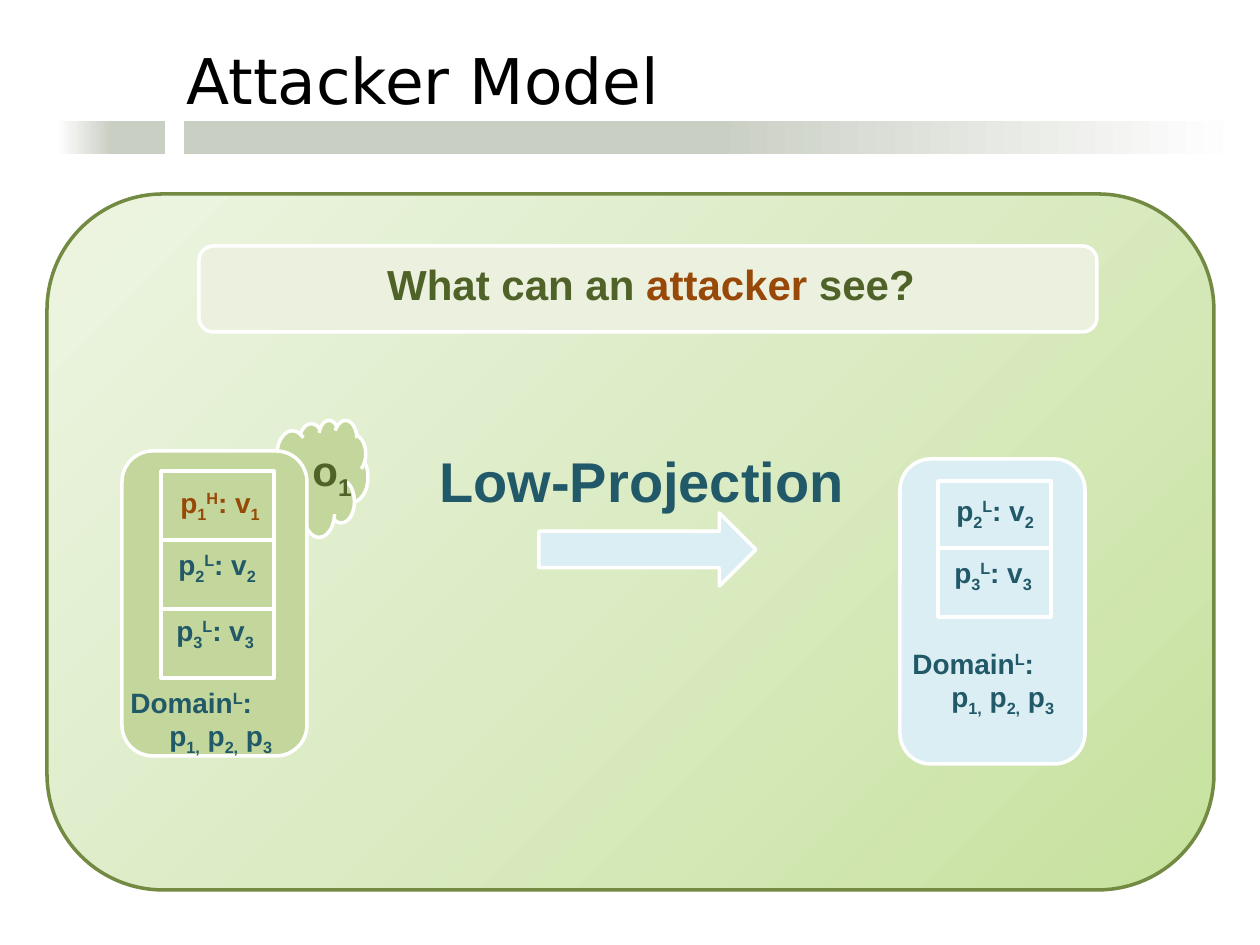
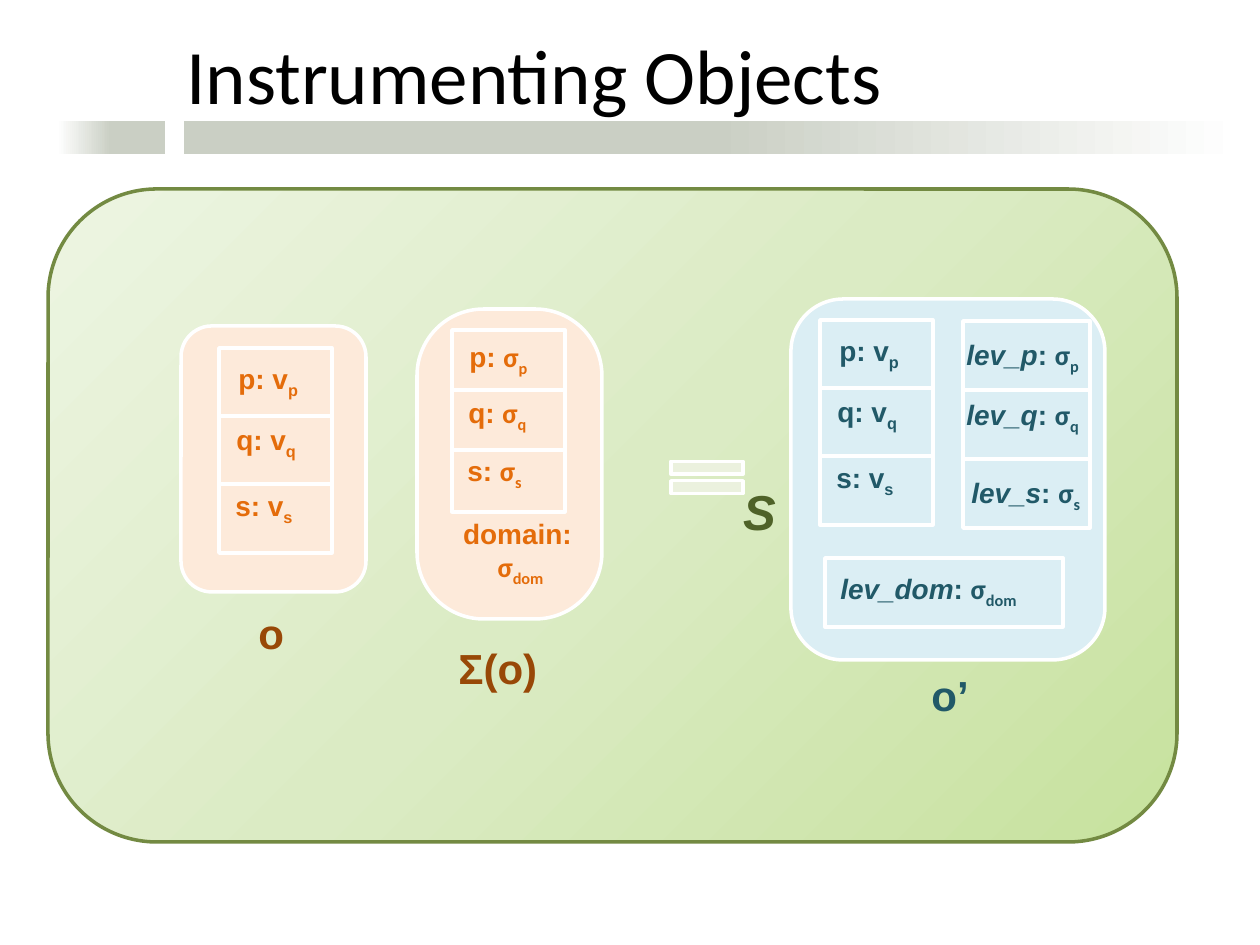
"""Build two slides on the attacker model and on instrumenting objects."""
from lxml import etree
from pptx import Presentation
from pptx.dml.color import RGBColor
from pptx.enum.shapes import MSO_SHAPE as Shape
from pptx.enum.text import MSO_ANCHOR as Anchor, PP_ALIGN as Align
from pptx.oxml.ns import qn
from pptx.util import Emu, Pt

PX = 914400 // 126
WHITE = RGBColor(0xFF, 0xFF, 0xFF)
BLACK = RGBColor(0x00, 0x00, 0x00)
BAND_GREY = RGBColor(0xCA, 0xCF, 0xC4)
PANEL_EDGE = RGBColor(0x73, 0x8A, 0x42)
PANEL_DARK = RGBColor(0xC7, 0xE2, 0x9E)
PANEL_MID = RGBColor(0xDB, 0xEB, 0xC4)
PANEL_LIGHT = RGBColor(0xED, 0xF5, 0xE2)
PALE_GREEN = RGBColor(0xEB, 0xF1, 0xDE)
GREEN = RGBColor(0xC3, 0xD6, 0x9B)
DARK_GREEN = RGBColor(0x4F, 0x62, 0x28)
PALE_BLUE = RGBColor(0xDB, 0xEE, 0xF4)
TEAL = RGBColor(0x21, 0x59, 0x68)
PEACH = RGBColor(0xFD, 0xEA, 0xDA)
ORANGE = RGBColor(0xE4, 0x6C, 0x0A)
BROWN = RGBColor(0x98, 0x48, 0x07)

BANDS = [((184, 121, 1057, 33), 0), ((57, 121, 108, 33), 180)]
BAND_STOPS = [(50, BAND_GREY), (100, WHITE)]
PANEL_STOPS = [(0, PANEL_DARK), (50, PANEL_MID), (100, PANEL_LIGHT)]

# Markup: ~subscript~ ^superscript^ *italic* |accent| $Calibri$
DOMAIN = ["Domain^L^:", "p~1,~ p~2,~ p~3~"]
VALUES = ["p: v~p~", "q: v~q~", "s: v~s~"]
LEVELS = ["p: $σ~p~$", "q: $σ~q~$", "s: $σ~s~$"]
LEV_FIELDS = ["*lev_p*: $σ~p~$", "*lev_q*: $σ~q~$", "*lev_s*: $σ~s~$"]
VALUE_SHIFTS = [(7, 9), (5, 2), (4, 0)]

SLIDES = [
    {
        "title": ("Attacker Model", (174, 35, 977, 89), 36, "DejaVu Sans"),
        "panel": (47, 194, 1167, 696),
        "shapes": [
            (Shape.ROUNDED_RECTANGLE, (199, 246, 898, 86), PALE_GREEN, None),
            (Shape.CLOUD, (268, 420, 100, 117), GREEN, None),
            (Shape.ROUNDED_RECTANGLE, (122, 451, 185, 305), GREEN, None),
            (Shape.RIGHT_ARROW, (539, 513, 217, 73), PALE_BLUE, None),
            (Shape.ROUNDED_RECTANGLE, (900, 459, 185, 305), PALE_BLUE, None),
        ],
        "stacks": [
            ((161, 471, 113, 69), 69, GREEN, TEAL,
             ["|p~1~^H^: v~1~|", "p~2~^L^: v~2~", "p~3~^L^: v~3~"],
             [(7, 10), (5, 3), (3, 0)]),
            ((938, 481, 113, 69), 67, PALE_BLUE, TEAL,
             ["p~2~^L^: v~2~", "p~3~^L^: v~3~"], [(6, 8), (4, 3)]),
        ],
        "labels": [
            ((214, 252, 874, 63), ["What can an |attacker| see?"], 24, DARK_GREEN, Align.CENTER, 0),
            ((300, 438, 92, 63), ["o~1~"], 24, DARK_GREEN, Align.LEFT, 0),
            ((427, 440, 440, 81), ["Low-Projection"], 32, TEAL, Align.LEFT, 0),
            ((118, 679, 181, 81), DOMAIN, 16, TEAL, Align.LEFT, 39),
            ((900, 640, 181, 81), DOMAIN, 16, TEAL, Align.LEFT, 39),
        ],
    },
    {
        "title": ("Instrumenting Objects", (174, 21, 1086, 174), 44, "Calibri"),
        "panel": (48, 189, 1129, 653),
        "shapes": [
            (Shape.ROUNDED_RECTANGLE, (181, 326, 185, 266), PEACH, None),
            (Shape.ROUNDED_RECTANGLE, (417, 309, 185, 310), PEACH, 0.36),
            (Shape.MATH_EQUAL, (658, 450, 98, 55), PALE_GREEN, None),
            (Shape.ROUNDED_RECTANGLE, (791, 299, 314, 361), PALE_BLUE, None),
        ],
        "stacks": [
            ((219, 348, 113, 69), 68, PEACH, ORANGE, VALUES, VALUE_SHIFTS),
            ((452, 330, 113, 62), 60, PEACH, ORANGE, LEVELS, [(5, 5), (4, 1), (3, -1)]),
            ((820, 320, 113, 69), 68, PALE_BLUE, TEAL, VALUES, VALUE_SHIFTS),
            ((963, 321, 127, 69), 69, PALE_BLUE, TEAL, LEV_FIELDS, [(-9, 12), (-9, 3), (-4, 12)]),
            ((825, 558, 238, 69), 69, PALE_BLUE, TEAL, ["*lev_dom*: $σ~dom~$"], [(3, 9)]),
        ],
        "labels": [
            ((246, 601, 55, 63), ["o"], 24, BROWN, Align.LEFT, 0),
            ((446, 636, 126, 63), ["Σ(o)"], 24, BROWN, Align.LEFT, 0),
            ((449, 510, 137, 81), ["domain:", "$σ~dom~$"], 16, ORANGE, Align.CENTER, 6),
            ((709, 475, 101, 72), ["*S*"], 28, DARK_GREEN, Align.CENTER, 0),
            ((919, 663, 82, 63), ["o’"], 24, TEAL, Align.LEFT, 0),
        ],
    },
]


def to_emu(box):
    return [Emu(length * PX) for length in box]


def add_box(slide, kind, box, fill=None, line=WHITE):
    shape = slide.shapes.add_shape(kind, *to_emu(box))
    shape.shadow.inherit = False
    if fill is not None:
        shape.fill.solid()
        shape.fill.fore_color.rgb = fill
    if line is None:
        shape.line.fill.background()
    else:
        shape.line.color.rgb = line
        shape.line.width = Pt(2)
    return shape


def set_gradient(shape, stops, radial=False):
    gradient = etree.Element(qn("a:gradFill"), rotWithShape="1")
    stop_list = etree.SubElement(gradient, qn("a:gsLst"))
    for position, color in stops:
        stop = etree.SubElement(stop_list, qn("a:gs"), pos=str(position * 1000))
        etree.SubElement(stop, qn("a:srgbClr"), val=str(color))
    if radial:
        route = etree.SubElement(gradient, qn("a:path"), {"path": "circle"})
        etree.SubElement(route, qn("a:fillToRect"), l="100000", t="100000")
    else:
        etree.SubElement(gradient, qn("a:lin"), ang="0", scaled="1")
    shape.element.spPr.find(qn("a:prstGeom")).addnext(gradient)


def split_markup(text):
    active, piece = set(), ""
    for character in text:
        if character in "~^*|$":
            if piece:
                yield piece, frozenset(active)
            active ^= {character}
            piece = ""
        else:
            piece += character
    if piece:
        yield piece, frozenset(active)


def add_text(slide, box, lines, size, color, align=Align.LEFT, indent=0,
             font_name="Arial", bold=True, anchor=Anchor.TOP):
    text_frame = slide.shapes.add_textbox(*to_emu(box)).text_frame
    text_frame.word_wrap = True
    text_frame.vertical_anchor = anchor
    for index, line in enumerate(lines):
        paragraph = text_frame.add_paragraph() if index else text_frame.paragraphs[0]
        paragraph.alignment = align
        if index and indent:
            paragraph._p.get_or_add_pPr().set("marL", str(indent * PX))
        for piece, marks in split_markup(line):
            run = paragraph.add_run()
            run.text = piece
            font = run.font
            font.size = Pt(size)
            font.bold = bold
            font.italic = "*" in marks
            font.name = "Calibri" if "$" in marks else font_name
            font.color.rgb = BROWN if "|" in marks else color
            if "~" in marks:
                font._element.set("baseline", "-25000")
            elif "^" in marks:
                font._element.set("baseline", "30000")


def add_stack(slide, first_cell, pitch, fill, color, fields, shifts):
    left, top, width, height = first_cell
    tops = [top + pitch * row for row in range(len(fields))]
    for cell_top in tops:
        add_box(slide, Shape.RECTANGLE, (left, cell_top, width, height), fill)
    for cell_top, field, (right, down) in zip(tops, fields, shifts):
        label_box = (left + right, cell_top + down, width + 24, 47)
        add_text(slide, label_box, [field], 16, color, anchor=Anchor.MIDDLE)


def add_frame(slide, title, panel_box):
    for box, rotation in BANDS:
        band = add_box(slide, Shape.RECTANGLE, box, line=None)
        band.rotation = rotation
        set_gradient(band, BAND_STOPS)
    text, box, size, font_name = title
    add_text(slide, box, [text], size, BLACK, font_name=font_name, bold=False)
    panel = add_box(slide, Shape.ROUNDED_RECTANGLE, panel_box, line=PANEL_EDGE)
    set_gradient(panel, PANEL_STOPS, radial=True)


def main():
    presentation = Presentation()
    presentation.slide_width, presentation.slide_height = to_emu((1260, 945))
    for content in SLIDES:
        slide = presentation.slides.add_slide(presentation.slide_layouts[6])
        add_frame(slide, content["title"], content["panel"])
        for kind, box, fill, rounding in content["shapes"]:
            shape = add_box(slide, kind, box, fill)
            if rounding is not None:
                shape.adjustments[0] = rounding
        for stack in content["stacks"]:
            add_stack(slide, *stack)
        for label in content["labels"]:
            add_text(slide, *label)
    presentation.save("out.pptx")


if __name__ == "__main__":
    main()
